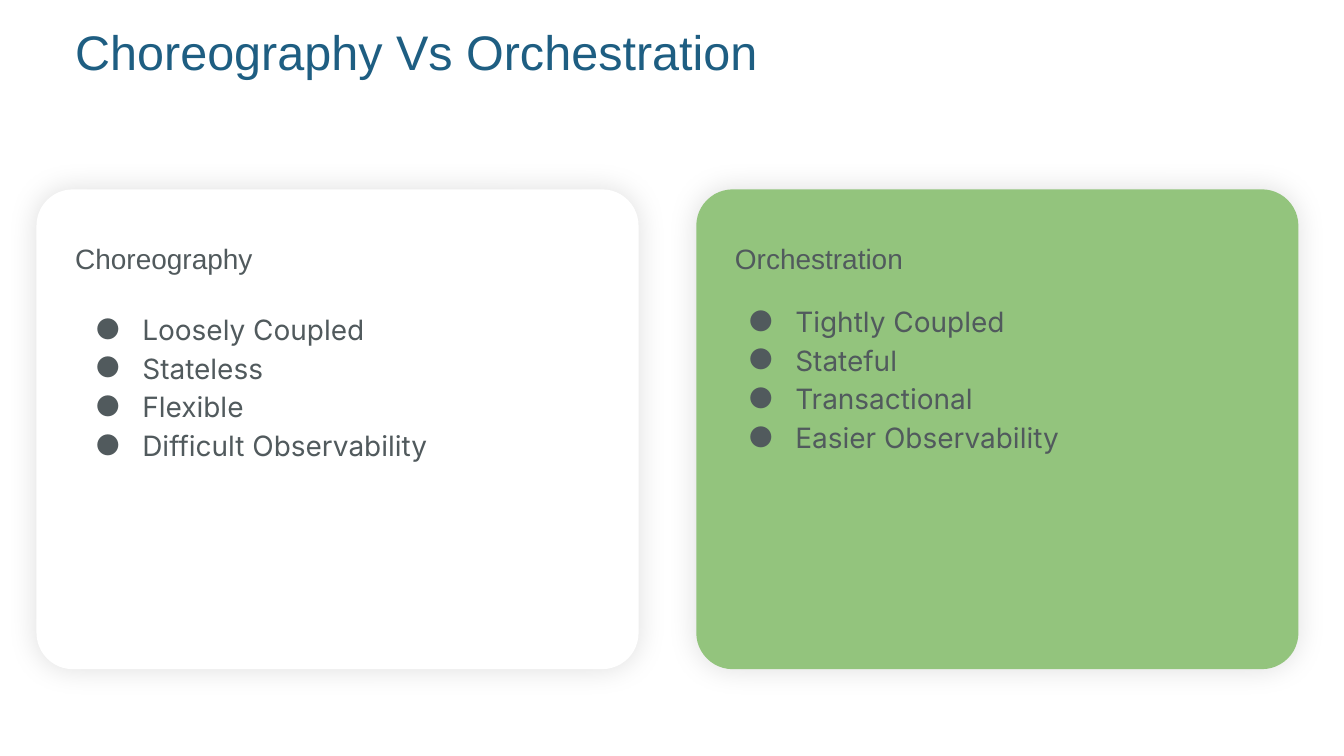
from lxml import etree
from pptx import Presentation
from pptx import util as u
from pptx.dml.color import RGBColor
from pptx.enum import shapes, text
from pptx.oxml import ns

WHITE = RGBColor(0xFF, 0xFF, 0xFF)
GREEN = RGBColor(0x93, 0xC4, 0x7D)
BLUE = RGBColor(0x1E, 0x5E, 0x82)
GRAY = RGBColor(0x51, 0x5A, 0x5D)
BLACK = RGBColor(0, 0, 0)


def add_xml(parent, tag, **attrs):
    return etree.SubElement(parent, ns.qn(tag), {k: str(v) for k, v in attrs.items()})


def write(p, words, font="Arial", size=15, color=GRAY, spacing=0.9):
    p.alignment = text.PP_ALIGN.LEFT
    p.line_spacing = spacing
    p.space_before = p.space_after = u.Pt(0)
    r = p.add_run()
    r.text = words
    r.font.name = font
    r.font.size = u.Pt(size)
    r.font.bold = False
    r.font.color.rgb = color


class Deck:
    inset = u.Cm(0.25)
    indent = u.Cm(1.27)
    hanging = u.Cm(-0.89)

    def __init__(self, width, height):
        self.prs = Presentation()
        self.prs.slide_width = u.Cm(width)
        self.prs.slide_height = u.Cm(height)
        self.s = None

    def add_slide(self, layout):
        self.s = self.prs.slides.add_slide(self.prs.slide_layouts[layout])

    def frame(self, idx, x, y, w, h):
        sp = self.s.placeholders[idx]
        sp.left, sp.top, sp.width, sp.height = (u.Cm(v) for v in (x, y, w, h))
        tf = sp.text_frame
        tf.margin_left = tf.margin_right = tf.margin_top = tf.margin_bottom = self.inset
        tf.vertical_anchor = text.MSO_ANCHOR.TOP
        tf.auto_size = text.MSO_AUTO_SIZE.NONE
        tf.word_wrap = True
        return tf

    def heading(self, idx, words, box, **style):
        write(self.frame(idx, *box).paragraphs[0], words, **style)

    def bullets(self, idx, items, box):
        tf = self.frame(idx, *box)
        for i, item in enumerate(items):
            p = tf.paragraphs[0] if i == 0 else tf.add_paragraph()
            pPr = p._p.get_or_add_pPr()
            pPr.set("marL", str(self.indent))
            pPr.set("indent", str(self.hanging))
            add_xml(add_xml(pPr, "a:buClr"), "a:srgbClr", val=GRAY)
            add_xml(pPr, "a:buFont", typeface="Inter")
            add_xml(pPr, "a:buChar", char="●")
            write(p, item, font="Inter", spacing=1.15)

    def card(self, x, y, w, h, fill):
        sp = self.s.shapes.add_shape(
            shapes.MSO_SHAPE.ROUNDED_RECTANGLE, u.Cm(x), u.Cm(y), u.Cm(w), u.Cm(h))
        sp.adjustments[0] = 0.076
        sp.fill.solid()
        sp.fill.fore_color.rgb = fill
        sp.line.fill.background()
        sp.shadow.inherit = False
        effects = sp._element.spPr.find(ns.qn("a:effectLst"))
        shadow = add_xml(effects, "a:outerShdw", blurRad=u.Pt(15.8), dist=0, dir=0,
                         algn="ctr", rotWithShape=0)
        add_xml(add_xml(shadow, "a:srgbClr", val=BLACK), "a:alpha", val=12000)
        self.s.shapes._spTree.insert(2, sp._element)


def main():
    deck = Deck(25.4, 14.29)
    deck.add_slide(4)
    deck.heading(0, "Choreography Vs Orchestration", (1.17, 0.3, 22.91, 1.37),
                 size=26, color=BLUE)
    columns = [
        ("Choreography", WHITE, (1.17, 5.56),
         ["Loosely Coupled", "Stateless", "Flexible", "Difficult Observability"]),
        ("Orchestration", GREEN, (13.51, 5.41),
         ["Tightly Coupled", "Stateful", "Transactional", "Easier Observability"]),
    ]
    pitch = 12.47
    for i, (name, fill, list_at, items) in enumerate(columns):
        deck.card(0.69 + i * pitch, 3.58, 11.38, 9.07, fill)
        deck.heading(1 + 2 * i, name, (1.17 + i * pitch, 4.39, 10.44, 0.99))
        deck.bullets(2 + 2 * i, items, (*list_at, 10.44, 6.58))
    deck.prs.save("out.pptx")


if __name__ == "__main__":
    main()
